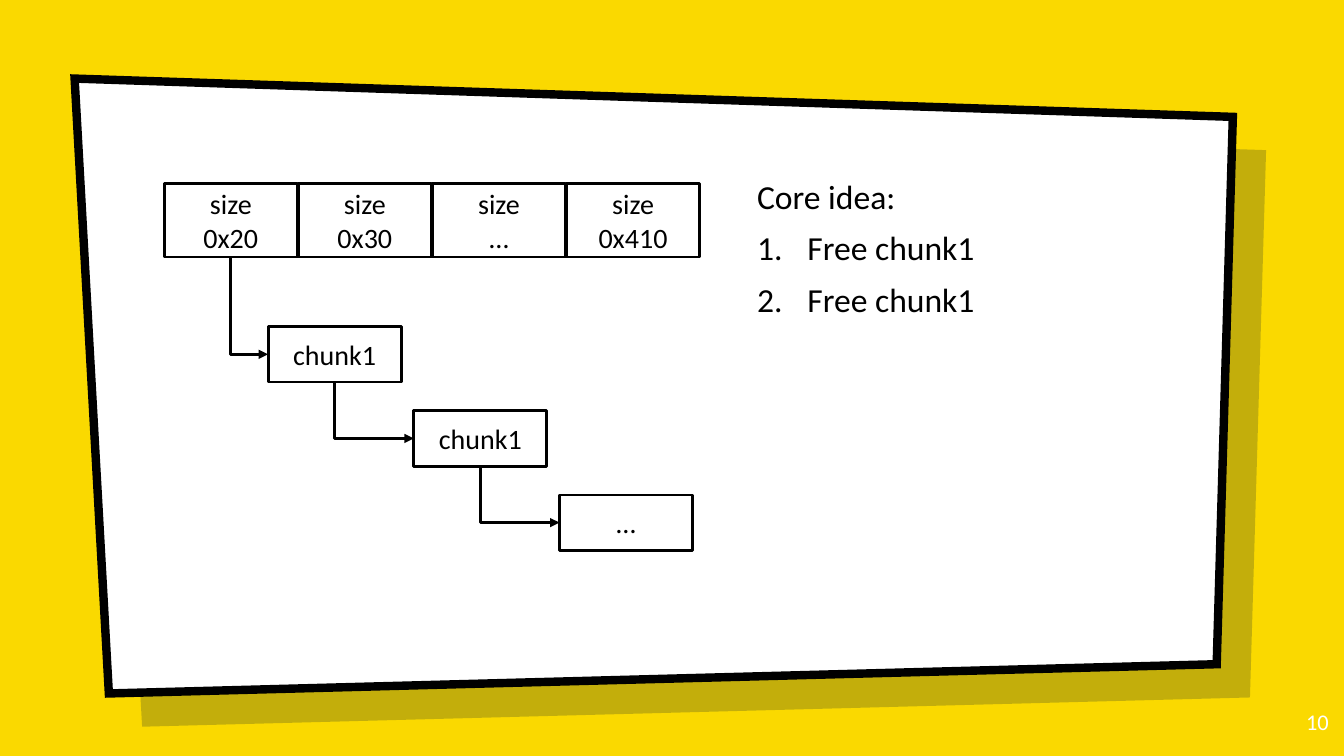
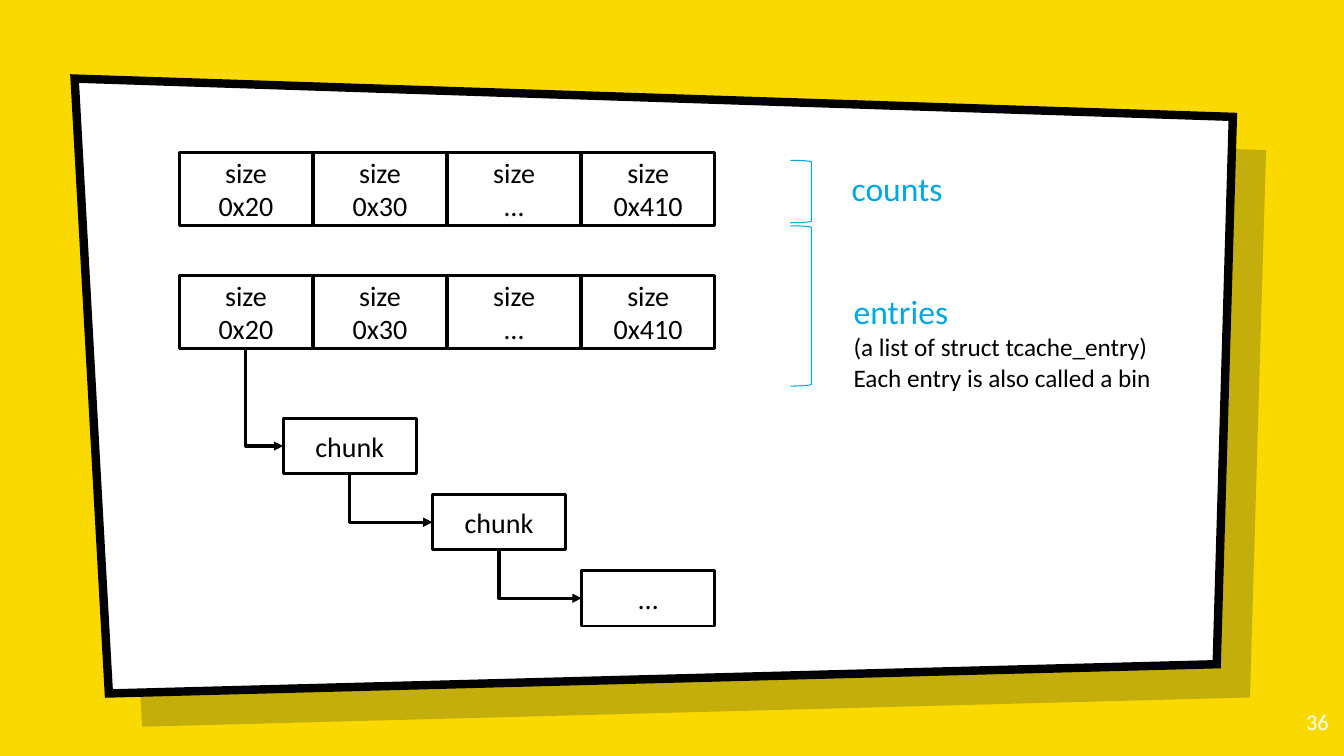
import dataclasses
import typing

import lxml.etree
import pptx
import pptx.dml.color
import pptx.enum.shapes
import pptx.enum.text
import pptx.oxml.ns
import pptx.shapes.base
import pptx.slide
import pptx.text.text
import pptx.util

WIDE, HIGH = 133.33, 75
BLACK, WHITE, GOLD, NAVY, BLUE = "000000", "FFFFFF", "FAD900", "001936", "00A7EB"
FONT = "Calibri"
BOX, STEP, TALL, LOW = 13.2, 13.3, 7.3, 5.5
KIND = pptx.enum.shapes.MSO_SHAPE
ALIGN = pptx.enum.text.PP_ALIGN
SIZES = ["0x20", "0x30", "…", "0x410"]
PANEL = [(7.4, 7.8), (122.3, 11.6), (120.7, 65.9), (10.8, 68.8)]
DROP = 3.3


@dataclasses.dataclass
class Area:
    left: float
    top: float
    wide: float
    high: float


@dataclasses.dataclass
class Chain:
    left: float
    top: float
    right: float
    down: float
    names: list[str]


def grid(count: float) -> int:
    return round(pptx.util.Inches(count / 10))


def spot(area: Area) -> list[int]:
    return [grid(part) for part in dataclasses.astuple(area)]


def tint(code: str) -> pptx.dml.color.RGBColor:
    return pptx.dml.color.RGBColor.from_string(code)


def node(root: typing.Any, tag: str, **keys: str) -> typing.Any:
    item = lxml.etree.SubElement(root, pptx.oxml.ns.qn(tag))
    for key, value in keys.items():
        item.set(key, value)
    return item


def seek(shape: pptx.shapes.base.BaseShape, tag: str) -> typing.Any:
    return shape.element.find(".//" + pptx.oxml.ns.qn(tag))


def paint(shape: typing.Any, fill: str = "", line: str = "", width: float = 2) -> None:
    shape.shadow.inherit = False
    if fill:
        shape.fill.solid()
        shape.fill.fore_color.rgb = tint(fill)
    else:
        shape.fill.background()
    if line:
        shape.line.color.rgb = tint(line)
        shape.line.width = pptx.util.Pt(width)
    else:
        shape.line.fill.background()


def write(frame: pptx.text.text.TextFrame, text: str, *, size: float = 20,
          color: str = BLACK, align: ALIGN = ALIGN.LEFT,
          space: float = 0) -> typing.Any:
    para = frame.add_paragraph() if frame.text else frame.paragraphs[0]
    para.alignment = align
    para.space_before = pptx.util.Pt(space)
    run = para.add_run()
    run.text = text
    run.font.name = FONT
    run.font.size = pptx.util.Pt(size)
    run.font.color.rgb = tint(color)
    return para


def pad(frame: pptx.text.text.TextFrame) -> None:
    inset = grid(1)
    frame.margin_left = frame.margin_right = inset
    frame.margin_top = frame.margin_bottom = inset


def note(slide: pptx.slide.Slide, area: Area) -> pptx.text.text.TextFrame:
    frame = slide.shapes.add_textbox(*spot(area)).text_frame
    frame.word_wrap = True
    return frame


def block(slide: pptx.slide.Slide, area: Area, lines: list[str]) -> typing.Any:
    shape = slide.shapes.add_shape(KIND.RECTANGLE, *spot(area))
    paint(shape, WHITE, BLACK)
    frame = shape.text_frame
    frame.vertical_anchor = pptx.enum.text.MSO_ANCHOR.MIDDLE
    for line in lines:
        write(frame, line, align=ALIGN.CENTER)
    return shape


def link(slide: pptx.slide.Slide, start: typing.Any, end: typing.Any) -> None:
    left, top = start.left + start.width // 2, start.top + start.height
    wide, high = end.left - left, end.top + end.height // 2 - top
    elbow = pptx.enum.shapes.MSO_CONNECTOR.ELBOW
    arrow = slide.shapes.add_connector(elbow, 0, 0, 0, 0)
    arrow.begin_connect(start, 2)
    arrow.end_connect(end, 1)
    arrow.left, arrow.top = left + (wide - high) // 2, top + (high - wide) // 2
    arrow.width, arrow.height = high, wide
    turn = seek(arrow, "a:xfrm")
    turn.set("rot", "16200000")
    turn.set("flipH", "1")
    turn.set("flipV", "0")
    seek(arrow, "a:prstGeom").set("prst", "bentConnector2")
    arrow.line.color.rgb = tint(BLACK)
    arrow.line.width = pptx.util.Pt(2.25)
    node(seek(arrow, "a:ln"), "a:tailEnd", type="triangle")
    node(seek(arrow, "p:spPr"), "a:effectLst")


def strip(slide: pptx.slide.Slide, left: float, top: float) -> typing.Any:
    cells = [block(slide, Area(left + i * STEP, top, BOX, TALL), ["size", size])
             for i, size in enumerate(SIZES)]
    return cells[0]


def trail(slide: pptx.slide.Slide, chain: Chain) -> None:
    last = strip(slide, chain.left, chain.top)
    for i, name in enumerate(chain.names):
        area = Area(chain.left + 10.3 + i * chain.right,
                    chain.top + 14.2 + i * chain.down, BOX, LOW)
        item = block(slide, area, [name])
        link(slide, last, item)
        last = item


def plate(slide: pptx.slide.Slide, shift: float) -> typing.Any:
    first, *rest = [(grid(x + shift), grid(y + shift)) for x, y in PANEL]
    pen = slide.shapes.build_freeform(*first, scale=1.0)
    pen.add_line_segments(rest, close=True)
    return pen.convert_to_shape()


def theme(deck: typing.Any, slide: pptx.slide.Slide) -> None:
    master = deck.slide_master
    master.background.fill.solid()
    master.background.fill.fore_color.rgb = tint(GOLD)
    shade, board = plate(slide, DROP), plate(slide, 0)
    paint(shade, NAVY)
    node(seek(shade, "a:srgbClr"), "a:alpha", val="22000")
    paint(board, WHITE, BLACK, 6)
    node(seek(board, "a:ln"), "a:miter", lim="800000")
    for mark, shape in enumerate([shade, board], 20):
        seek(shape, "p:cNvPr").set("id", str(mark))
        master.shapes.element.append(shape.element)


def number(slide: pptx.slide.Slide, text: str) -> None:
    frame = note(slide, Area(124.8, 69.3, 8, 5.7))
    pad(frame)
    write(frame, text, size=16, color=WHITE, align=ALIGN.RIGHT)


def steps(slide: pptx.slide.Slide, head: str, items: list[str]) -> None:
    title = slide.shapes.title
    title.element.getparent().remove(title.element)
    body = slide.placeholders[1]
    body.left, body.top, body.width, body.height = spot(Area(73.5, 16.4, 43.5, 42.1))
    frame = body.text_frame
    frame.auto_size = pptx.enum.text.MSO_AUTO_SIZE.NONE
    pad(frame)
    for i, text in enumerate([head, *items]):
        form = write(frame, text, size=24, space=8)._p.get_or_add_pPr()
        form.set("marL", str(grid(5.6 if i else 0.6)))
        form.set("indent", str(grid(-5 if i else 0)))
        if i:
            node(node(form, "a:buClr"), "a:srgbClr", val=BLACK)
            node(form, "a:buFont", typeface=FONT)
            node(form, "a:buAutoNum", type="arabicPeriod")
        else:
            node(form, "a:buNone")


def brace(slide: pptx.slide.Slide, top: float, high: float) -> None:
    area = Area(78.4, top, 2.1, high)
    shape = slide.shapes.add_shape(KIND.RIGHT_BRACKET, *spot(area))
    paint(shape, line=BLUE, width=0.75)


def main() -> None:
    deck = pptx.Presentation()
    deck.slide_width, deck.slide_height = grid(WIDE), grid(HIGH)

    core = deck.slides.add_slide(deck.slide_layouts[1])
    theme(deck, core)
    number(core, "10")
    trail(core, Chain(16.3, 18.2, 14.45, 8.35, ["chunk1", "chunk1", "…"]))
    steps(core, "Core idea:", ["Free chunk1", "Free chunk1"])

    bins = deck.slides.add_slide(deck.slide_layouts[6])
    number(bins, "36")
    brace(bins, 15.9, 6.2)
    brace(bins, 22.4, 15.9)
    counts = note(bins, Area(83.5, 16.2, 12.2, 5))
    counts.word_wrap = False
    write(counts, "counts", size=24, color=BLUE)
    entries = note(bins, Area(83.7, 28.4, 34.6, 11.1))
    write(entries, "entries", size=24, color=BLUE)
    for text in ["(a list of struct tcache_entry)", "Each entry is also called a bin"]:
        write(entries, text, size=18)
    strip(bins, 17.8, 15.1)
    trail(bins, Chain(17.8, 27.3, 14.8, 7.55, ["chunk", "chunk", "…"]))

    deck.save("out.pptx")


if __name__ == "__main__":
    main()
